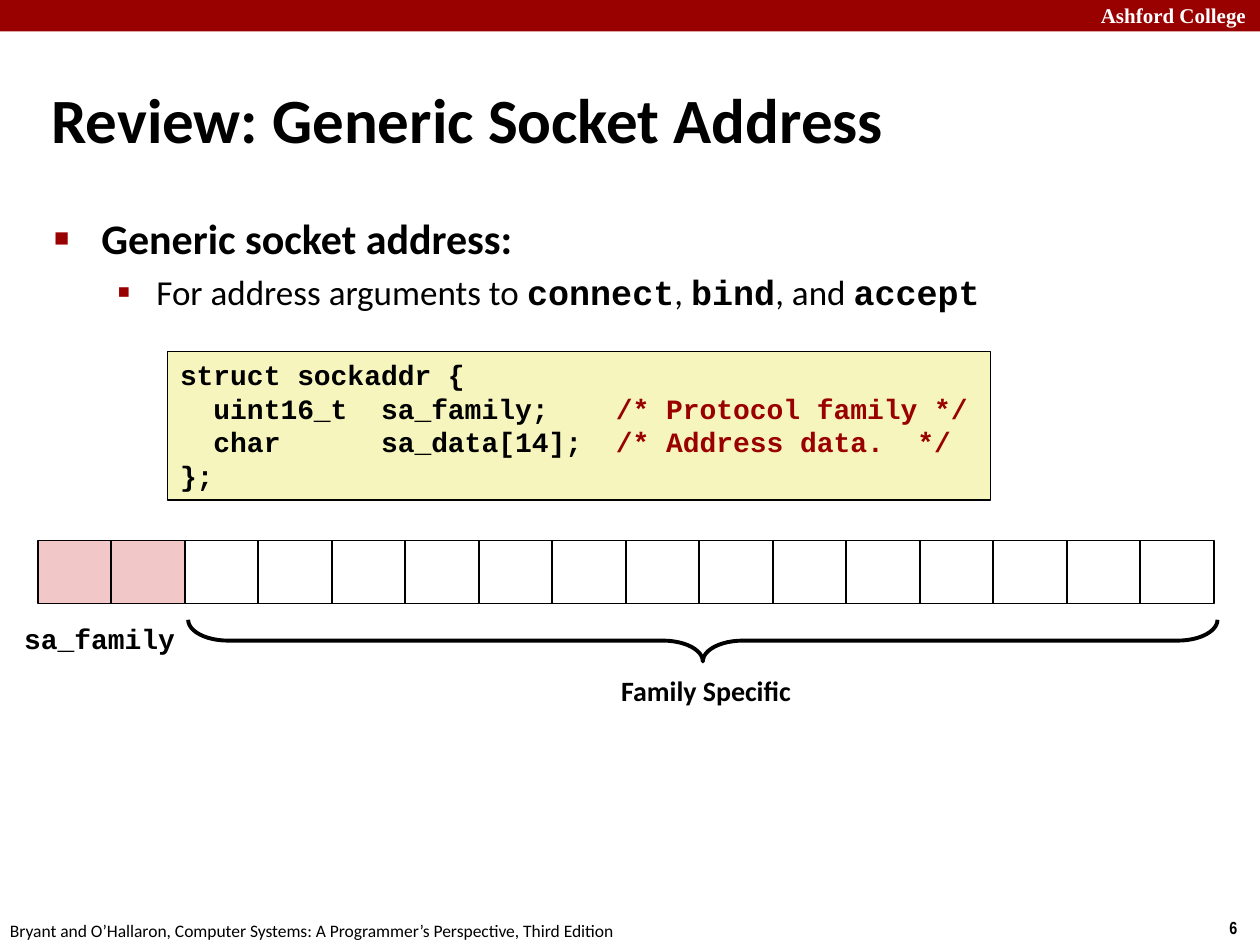
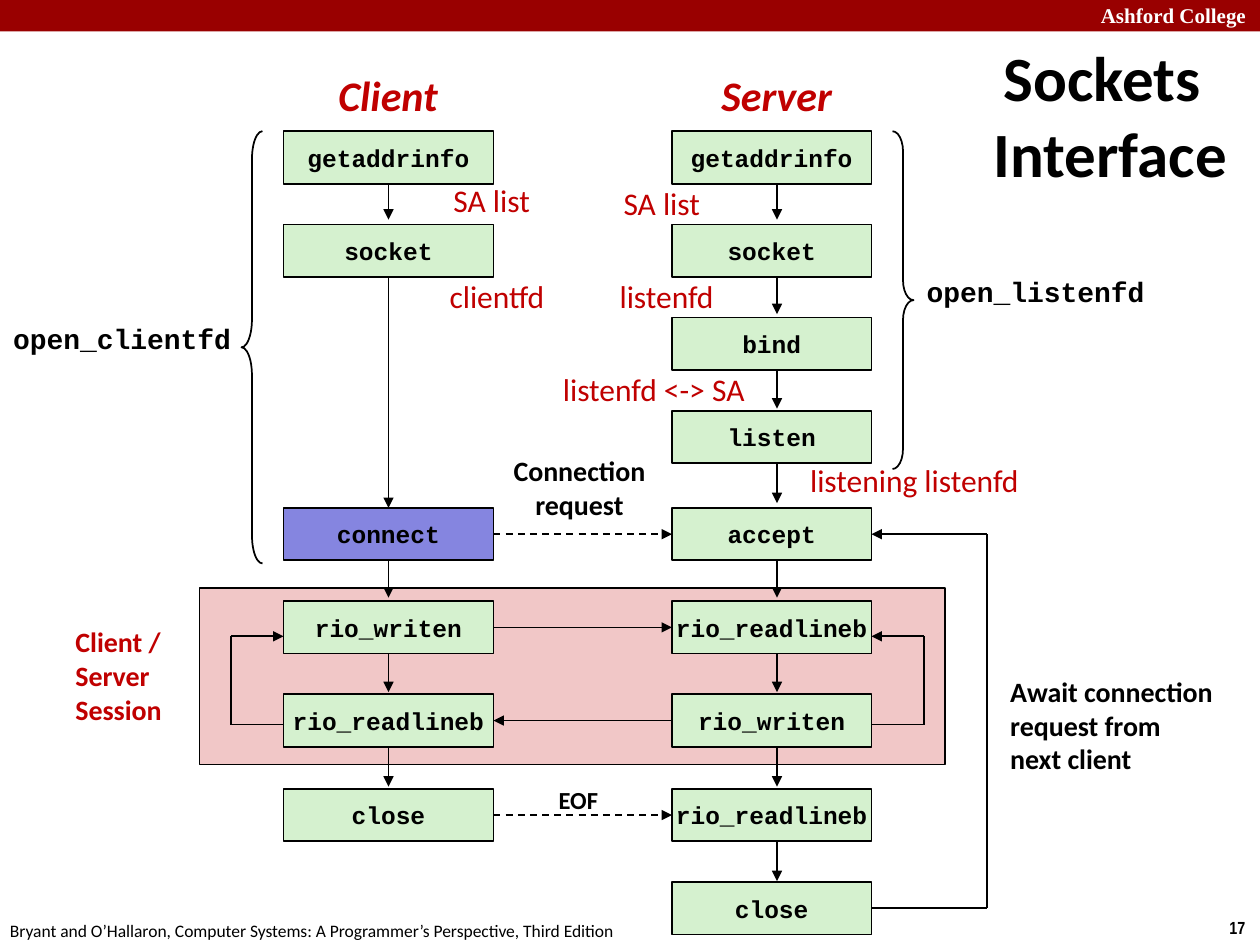
from lxml.etree import SubElement
from pptx import Presentation
from pptx.dml.color import RGBColor
from pptx.enum.dml import MSO_LINE
from pptx.enum.shapes import MSO_CONNECTOR, MSO_SHAPE
from pptx.enum.text import MSO_ANCHOR, PP_ALIGN
from pptx.oxml.ns import qn
from pptx.util import Pt

BLACK, WHITE = "000000", "FFFFFF"
CRIMSON, RED = "990000", "C00000"
GREEN, BLUE, PINK, YELLOW = "D5F1CF", "8585E0", "F1C7C7", "F6F5BD"
SANS, MONO = "Calibri", "Courier New"
LEFT, CENTER = PP_ALIGN.LEFT, PP_ALIGN.CENTER
TOP, MIDDLE = MSO_ANCHOR.TOP, MSO_ANCHOR.MIDDLE
hex_color = RGBColor.from_string


def add_box(page, at, lines=(), kind=None, fill=None, border=1, size=16, font=SANS,
            color=BLACK, bold=True, italic=False, align=LEFT, anchor=TOP, wrap=False):
    """Add a preset shape, or a text box when kind is None, with one paragraph per line."""
    at = [Pt(length) for length in at]
    if kind is None:
        box = page.shapes.add_textbox(*at)
    else:
        box = page.shapes.add_shape(kind, *at)
        box.shadow.inherit = False
        if fill:
            box.fill.solid()
            box.fill.fore_color.rgb = hex_color(fill)
        else:
            box.fill.background()
        if border:
            box.line.width = Pt(border)
            box.line.color.rgb = hex_color(BLACK)
        else:
            box.line.fill.background()
    frame = box.text_frame
    frame.word_wrap = wrap
    frame.vertical_anchor = anchor
    for index, line in enumerate(lines):
        para = frame.add_paragraph() if index else frame.paragraphs[0]
        para.add_run().text = line
        para.alignment = align
        para.font.name, para.font.size = font, Pt(size)
        para.font.bold, para.font.italic = bold, italic
        para.font.color.rgb = hex_color(color)
    return box


def add_line(page, start, end, arrow=True, dashed=False):
    line = page.shapes.add_connector(MSO_CONNECTOR.STRAIGHT, *[Pt(n) for n in (*start, *end)])
    line.line.width = Pt(1)
    line.line.color.rgb = hex_color(BLACK)
    if dashed:
        line.line.dash_style = MSO_LINE.DASH
    if arrow:
        SubElement(line.line._get_or_add_ln(), qn("a:tailEnd"), type="triangle")
    SubElement(line._element.spPr, qn("a:effectLst"))
    return line


deck = Presentation()
deck.slide_width, deck.slide_height = Pt(720), Pt(540)

# Band, footer and title of every slide
pages = []
for number, title, title_at, title_align in [
    ("6", "Review: Generic Socket Address", (22.3, 36.7, 686.2, 61.2), LEFT),
    ("17", "Sockets Interface", (545.8, 18, 167.8, 94.3), CENTER),
]:
    page = deck.slides.add_slide(deck.slide_layouts[6])
    add_box(page, (0, 0, 720, 18), kind=MSO_SHAPE.RECTANGLE, fill=CRIMSON, border=0)
    add_box(page, (622, -2.2, 103, 21.6), ["Ashford College"], size=12,
            font="Times New Roman", color=WHITE, wrap=True)
    add_box(page, (695.5, 520.6, 28, 19.4), [number], size=10, font="Arial Narrow", wrap=True)
    add_box(page, (-1.4, 522, 365.8, 19.4),
            ["Bryant and O’Hallaron, Computer Systems: A Programmer’s Perspective, Third Edition"],
            size=10, bold=False)
    heading = add_box(page, title_at, [title], size=36, align=title_align, anchor=MIDDLE, wrap=True)
    properties = heading.text_frame.paragraphs[0]._p.get_or_add_pPr()
    properties.set("marL", str(Pt(9.4)))
    properties.set("indent", str(-Pt(9.4)))
    pages.append(page)
address_page, interface_page = pages

# Slide 1: bullets
body = add_box(address_page, (23.8, 118.1, 686.2, 88.6),
               ["Generic socket address:", "For address arguments to "], size=24, wrap=True)
topic, detail = body.text_frame.paragraphs
detail.font.size, detail.font.bold = Pt(20), False
detail.space_before = Pt(4)
for words, is_code in [("connect", True), (", ", False), ("bind", True),
                       (", and ", False), ("accept", True)]:
    span = detail.add_run()
    span.text = words
    if is_code:
        span.font.name, span.font.bold = MONO, True
for para, margin, hanging, bullet, percent in [(topic, 27, 27, "■", 60),
                                               (detail, 58.5, 22.5, "▪", 110)]:
    properties = para._p.get_or_add_pPr()
    properties.set("marL", str(Pt(margin)))
    properties.set("indent", str(-Pt(hanging)))
    marks = [SubElement(properties, qn("a:buClr")),
             SubElement(properties, qn("a:buSzPct"), val=str(percent * 1000)),
             SubElement(properties, qn("a:buFont"), typeface="Wingdings"),
             SubElement(properties, qn("a:buChar"), char=bullet)]
    SubElement(marks[0], qn("a:srgbClr"), val=CRIMSON)
    marks[2].set("typeface", "Arial")
    properties.append(properties.find(qn("a:defRPr")))

# Slide 1: structure definition
code = add_box(address_page, (95.8, 200.9, 470.2, 85),
               ["struct sockaddr {", "  uint16_t  sa_family;    ", "  char      sa_data[14];  ", "};"],
               MSO_SHAPE.RECTANGLE, YELLOW, font=MONO)
for para, comment in zip(code.text_frame.paragraphs[1:3],
                         ["/* Protocol family */", "/* Address data.  */"]):
    span = para.add_run()
    span.text = comment
    span.font.color.rgb = hex_color(CRIMSON)

# Slide 1: the 16 bytes of the address
for byte in range(16):
    add_box(address_page, (21.6 + 42 * byte, 308.9, 42, 36), kind=MSO_SHAPE.RECTANGLE,
            fill=PINK if byte < 2 else None)
add_box(address_page, (6.5, 351.4, 100.8, 26.6), ["sa_family"], font=MONO, align=CENTER)
add_box(address_page, (347, 381.6, 113, 26.6), ["Family Specific"], align=CENTER)
data_brace = add_box(address_page, (389.7, 72, 23.8, 588.2), kind=MSO_SHAPE.RIGHT_BRACE, border=2.25)
data_brace.adjustments[0] = 0.958
data_brace.rotation = 90

# Slide 2: session area with its two loops
page = interface_page
add_box(page, (114, 336.2, 426.2, 100.8), kind=MSO_SHAPE.RECTANGLE, fill=PINK)
for side, outer in [(498, 528), (162, 132)]:
    add_line(page, (side, 414), (outer, 414), arrow=False)
    add_line(page, (outer, 414), (outer, 363.6), arrow=False)
    add_line(page, (outer, 363.6), (side, 363.6))

# Slide 2: downward arrows, one per step
for x, steps in [(222, (0, 4, 5, 6)), (444, range(8))]:
    for step in steps:
        start = 101 + 54 * step
        add_line(page, (x, start), (x, start + 24.5))

# Slide 2: calls of client and server
row_tops = [75, 128.25, 181.5, 234.75, 290.25, 343.5, 396.75, 450.75, 504]
client_calls = ["getaddrinfo", "socket", None, None, "connect",
                "rio_writen", "rio_readlineb", "close", None]
server_calls = ["getaddrinfo", "socket", "bind", "listen", "accept",
                "rio_readlineb", "rio_writen", "rio_readlineb", "close"]
client, server = {}, {}
for boxes, calls, left, width in [(client, client_calls, 162, 120),
                                  (server, server_calls, 384, 114)]:
    for row, (call, top) in enumerate(zip(calls, row_tops)):
        if call:
            boxes[row] = add_box(page, (left, top, width, 30), [call], MSO_SHAPE.RECTANGLE,
                                 BLUE if call == "connect" else GREEN, size=14, font=MONO,
                                 align=CENTER, anchor=MIDDLE)

# Slide 2: arrows joined to the calls
for source, source_side, target, target_side, dashed in [
    (client[1], 2, client[4], 0, False),
    (client[4], 3, server[4], 1, True),
    (client[5], 3, server[5], 1, False),
    (server[6], 1, client[6], 3, False),
    (client[7], 3, server[7], 1, True),
]:
    link = add_line(page, (0, 0), (0, 0), dashed=dashed)
    link.begin_connect(source, source_side)
    link.end_connect(target, target_side)

# Slide 2: way back from close to accept
close_y, accept_y = row_tops[8] + 15, row_tops[4] + 15
add_line(page, (498, close_y), (564, close_y), arrow=False).begin_connect(server[8], 3)
add_line(page, (564, close_y), (564, accept_y), arrow=False)
add_line(page, (564, accept_y), (498, accept_y)).end_connect(server[4], 3)

# Slide 2: braces and labels
for kind, at, curve in [(MSO_SHAPE.RIGHT_BRACE, (510, 75, 12, 193), 0.958),
                        (MSO_SHAPE.LEFT_BRACE, (138, 75, 12, 247), 1.333)]:
    add_box(page, at, kind=kind).adjustments[0] = curve
for name, left, top in [("open_listenfd", 522, 153.4), ("open_clientfd", 0, 180)]:
    add_box(page, (left, top, 139.7, 26.6), [name], font=MONO, align=CENTER, anchor=MIDDLE)
for name, left, width in [("Client", 185.8, 72), ("Server", 404.6, 78.5)]:
    add_box(page, (left, 36, width, 36), [name], size=24, color=RED, italic=True,
            align=CENTER, anchor=MIDDLE)
add_box(page, (36, 355.7, 66.2, 60.5), ["Client / Server", "Session"], color=RED,
        anchor=MIDDLE, wrap=True)
add_box(page, (285.8, 255.6, 90.7, 46), ["Connection", "request"], align=CENTER, anchor=MIDDLE)
add_box(page, (311.8, 445, 37.4, 24.5), ["EOF"], size=14, align=CENTER, anchor=MIDDLE)
add_box(page, (570.2, 381.6, 131.8, 65.5), ["Await connection", "request from", "next client"],
        anchor=MIDDLE)
for result, left, top, width in [
    ("listening listenfd", 455.8, 260, 138.2),
    ("SA list", 252, 100, 58.3),
    ("SA list", 349.2, 101.5, 58.3),
    ("clientfd", 249.8, 154.8, 71.3),
    ("listenfd", 347, 154.8, 69.1),
    ("listenfd <-> SA", 314.6, 208, 119.5),
]:
    add_box(page, (left, top, width, 28.8), [result], size=18, color=RED, bold=False)

deck.save("out.pptx")
